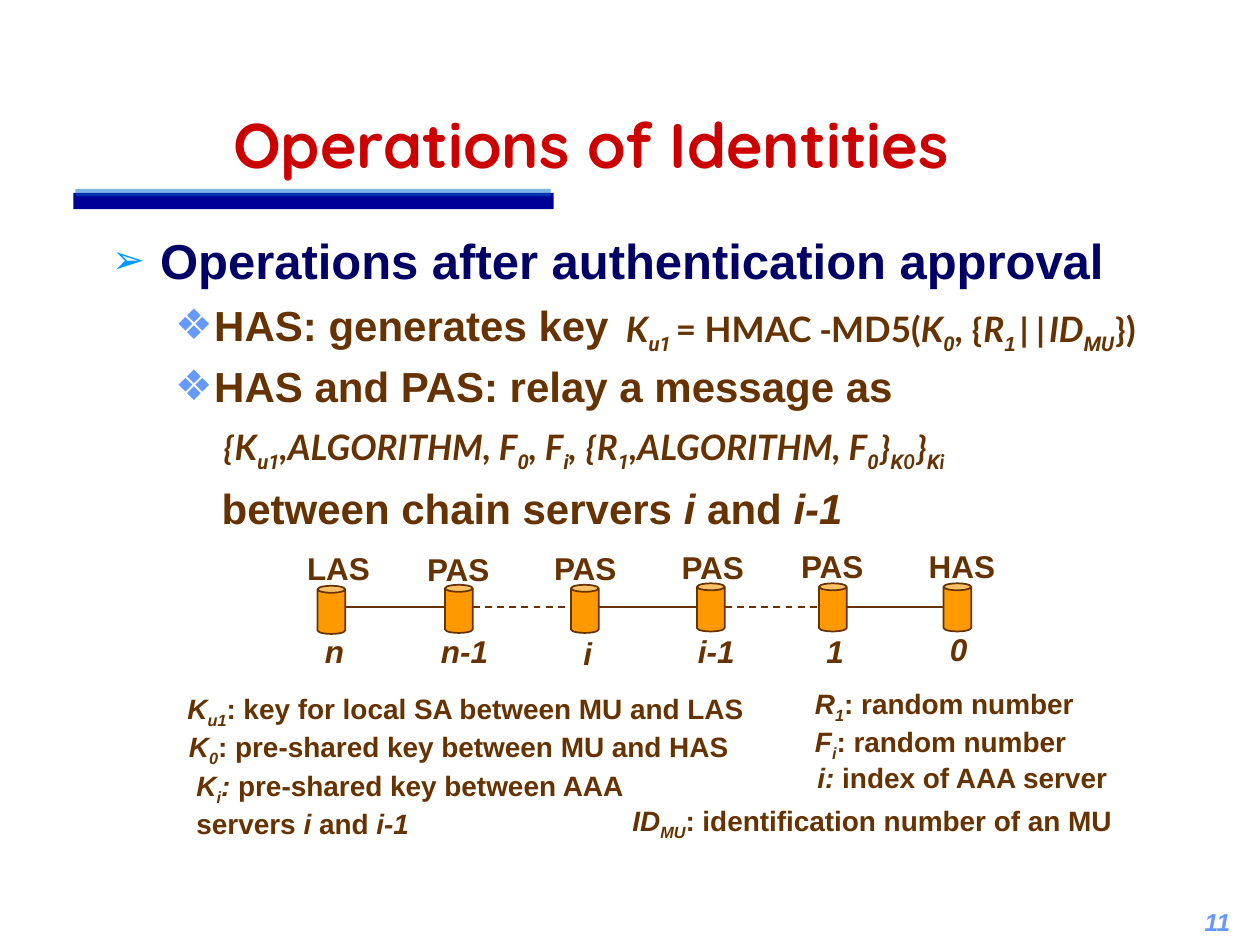
import pptx
import pptx.util
import pptx.dml.color
import pptx.enum.dml
import pptx.enum.shapes
import pptx.enum.text
import pptx.oxml.ns
from lxml import etree

Cm, Pt = pptx.util.Cm, pptx.util.Pt
RGB = pptx.dml.color.RGBColor
qn = pptx.oxml.ns.qn
Shape = pptx.enum.shapes.MSO_SHAPE
Anchor = pptx.enum.text.MSO_ANCHOR
Align = pptx.enum.text.PP_ALIGN
AutoSize = pptx.enum.text.MSO_AUTO_SIZE

RED = RGB(0xCC, 0x00, 0x00)
BROWN = RGB(0x66, 0x33, 0x00)
NAVY = RGB(0x00, 0x00, 0x66)
ORANGE = RGB(0xFF, 0x99, 0x00)
BAR_BLUE = RGB(0x00, 0x00, 0x99)
BAR_LIGHT = RGB(0x00, 0x66, 0xCC)
ARROW_BLUE = RGB(0x00, 0x99, 0xFF)
PALE_BLUE = RGB(0x66, 0x99, 0xFF)

# Runs are (text, flags, font): "i" is italic, "_" is subscript, font is Arial if absent
TITLE = [("Operations of Identities", "", "Quicksand")]

# runs, size, colour, left margin, hanging indent, space before, bullet, its colour and size
OUTLINE = [
    ([("Operations after authentication approval",)], 28, NAVY, 0.97, -0.97, 7,
     ("➢", ARROW_BLUE, 80)),
    ([("HAS: generates key",)], 24, BROWN, 2.06, -0.79, 6, ("❖", PALE_BLUE, 100)),
    ([("HAS and PAS: relay a message as",)], 24, BROWN, 2.06, -0.79, 6,
     ("❖", PALE_BLUE, 100)),
    ([("between chain servers ",), ("i", "i"), (" and ",), ("i-1", "i")],
     24, BROWN, 2.21, 0, 41, None),
]

# left, top, width, height, runs
FORMULAS = [
    (12.37, 6.07, 11.48, 1.22, [
        ("K", "i", "Lato"), ("u1 ", "i_", "Roboto"), ("= HMAC ", "", "Lato"),
        ("-", "", "Calibri"), ("MD5(", "", "Lato"), ("K", "i", "Lato"),
        ("0", "i_", "Roboto"), (", ", "", "Lato"), ("{", "", "Calibri"),
        ("R", "i", "Lato"), ("1", "i_"), ("||", "", "Calibri"), ("ID", "i", "Lato"),
        ("MU", "i_", "Roboto"), ("}", "", "Calibri"), (")", "", "Lato")]),
    (4.24, 8.46, 19.2, 1.22, [
        ("{", "i", "Calibri"), ("K", "i", "Lato"), ("u1", "i_", "Roboto"),
        (",ALGORITHM, F", "i", "Lato"), ("0", "i_", "Roboto"), (", F", "i", "Lato"),
        ("i", "i_", "Roboto"), (", ", "i", "Lato"), ("{", "i", "Calibri"),
        ("R", "i", "Lato"), ("1", "i_", "Roboto"), (",ALGORITHM, F", "i", "Lato"),
        ("0", "i_", "Roboto"), ("}", "i", "Calibri"), ("K", "i_", "Roboto"),
        ("0", "i_", "Lato"), ("}", "i", "Calibri"), ("K", "i_", "Roboto"),
        ("i", "i_", "Lato")]),
]

# can (left, top), role (text, left, top, width), index (text, left, top, width)
SERVERS = [
    ((6.4, 11.81), ("LAS", 5.94, 10.95, 1.8), ("n", 6.3, 12.62, 0.9)),
    ((8.97, 11.79), ("PAS", 8.36, 10.97, 1.82), ("n-1", 8.64, 12.62, 1.55)),
    ((11.51, 11.79), ("PAS", 10.92, 10.95, 1.82), ("i", 11.51, 12.65, 0.7)),
    ((14.05, 11.76), ("PAS", 13.49, 10.92, 1.82), ("i-1", 13.82, 12.62, 1.35)),
    ((16.51, 11.76), ("PAS", 15.9, 10.9, 1.82), ("1", 16.41, 12.62, 0.88)),
    ((19.02, 11.76), ("HAS", 18.47, 10.9, 1.87), ("0", 18.9, 12.57, 0.88)),
]
CAN_WIDTH, CAN_HEIGHT, CHAIN_Y = 0.56, 0.97, 12.24

# left, top, width, height, runs
LEGEND = [
    (3.53, 13.82, 12.7, 1.04, [("K", "i"), ("u1", "i_"),
                               (": key for local SA between MU and LAS",)]),
    (16.18, 13.72, 5.87, 1.04, [("R", "i"), ("1", "i_"), (": random number",)]),
    (16.18, 14.48, 5.87, 1.04, [("F", "i"), ("i", "i_"), (": random number",)]),
    (3.56, 14.58, 12.7, 1.04, [("K", "i"), ("0", "i_"),
                               (": pre-shared key between MU and HAS",)]),
    (16.23, 15.21, 6.76, 0.94, [("i:", "i"), (" index of AAA server",)]),
    (3.71, 15.37, 9.68, 1.7, [("K", "i"), ("i", "i_"), (":", "i"),
                              (" pre-shared key between AAA servers ",),
                              ("i", "i"), (" and ",), ("i-1", "i")]),
    (12.5, 16.08, 10.49, 1.04, [("ID", "i"), ("MU", "i_"),
                                (": identification number of an MU",)]),
]


def add_runs(paragraph, runs, size, color):
    for text, *style in runs:
        flags = style[0] if style else ""
        run = paragraph.add_run()
        run.text = text
        run.font.name = style[1] if len(style) > 1 else "Arial"
        run.font.size = Pt(size)
        run.font.bold = True
        run.font.italic = "i" in flags
        run.font.color.rgb = color
        if "_" in flags:
            run.font._element.set("baseline", "-25000")


def add_text(slide, box, runs, size, color=BROWN, wrap=True, anchor=Anchor.TOP):
    frame = slide.shapes.add_textbox(*map(Cm, box)).text_frame
    frame.word_wrap = wrap
    if not wrap:
        frame.auto_size = AutoSize.SHAPE_TO_FIT_TEXT
    frame.vertical_anchor = anchor
    add_runs(frame.paragraphs[0], runs, size, color)
    return frame


def add_filled(slide, kind, box, color):
    shape = slide.shapes.add_shape(kind, *map(Cm, box))
    shape.shadow.inherit = False
    shape.fill.solid()
    shape.fill.fore_color.rgb = color
    shape.line.fill.background()
    return shape


def set_bullet(paragraph, left, indent, bullet):
    props = paragraph._p.get_or_add_pPr()
    props.set("marL", str(Cm(left)))
    props.set("indent", str(Cm(indent)))
    if bullet:
        char, color, percent = bullet
        bullet_color = etree.SubElement(props, qn("a:buClr"))
        etree.SubElement(bullet_color, qn("a:srgbClr"), val=str(color))
        etree.SubElement(props, qn("a:buSzPct"), val=str(percent * 1000))
        etree.SubElement(props, qn("a:buFont"), typeface="Arial")
        etree.SubElement(props, qn("a:buChar"), char=char)


def add_link(slide, start, end, dashed):
    link = slide.shapes.add_connector(
        pptx.enum.shapes.MSO_CONNECTOR.STRAIGHT,
        Cm(start), Cm(CHAIN_Y), Cm(end), Cm(CHAIN_Y))
    link.line.color.rgb = BROWN
    link.line.width = Pt(1)
    if dashed:
        link.line.dash_style = pptx.enum.dml.MSO_LINE.DASH
    etree.SubElement(link._element.spPr, qn("a:effectLst"))


def main():
    deck = pptx.Presentation()
    deck.slide_width, deck.slide_height = Cm(25.4), Cm(19.05)
    slide = deck.slides.add_slide(deck.slide_layouts[6])

    # Title with its two-tone bar
    add_filled(slide, Shape.RECTANGLE, (1.48, 3.89, 9.68, 0.33), BAR_BLUE)
    gloss = add_filled(slide, Shape.RECTANGLE, (1.52, 3.81, 9.58, 0.15), BAR_LIGHT)
    gloss_color = gloss._element.spPr.find(".//" + qn("a:srgbClr"))
    etree.SubElement(gloss_color, qn("a:alpha"), val="50000")
    add_text(slide, (4.45, 1.04, 19.25, 2.74), TITLE, 36, RED, anchor=Anchor.BOTTOM)

    # Outline
    outline = add_text(slide, (2.01, 4.52, 21.59, 11.86), [], 24)
    for n, (runs, size, color, left, indent, before, bullet) in enumerate(OUTLINE):
        paragraph = outline.add_paragraph() if n else outline.paragraphs[0]
        paragraph.space_before = Pt(before)
        set_bullet(paragraph, left, indent, bullet)
        add_runs(paragraph, runs, size, color)

    for *box, runs in FORMULAS:
        add_text(slide, box, runs, 20)

    # Chain of servers, every second link dashed
    for (left, top), role, index in SERVERS:
        can = add_filled(slide, Shape.CAN, (left, top, CAN_WIDTH, CAN_HEIGHT), ORANGE)
        can.line.color.rgb = BROWN
        can.line.width = Pt(1)
        for (text, x, y, width), flags in ((role, ""), (index, "i")):
            add_text(slide, (x, y, width, 1.02), [(text, flags)], 18, wrap=False)
    can_lefts = [can[0] for can, _, _ in SERVERS]
    for n, (left, following) in enumerate(zip(can_lefts, can_lefts[1:])):
        add_link(slide, left + CAN_WIDTH, following, dashed=n % 2 == 1)

    # Legend and page number
    for *box, runs in LEGEND:
        add_text(slide, box, runs, 16)
    page = add_text(slide, (23.7, 18.11, 1.7, 0.94), [("11", "i")], 14, PALE_BLUE,
                    anchor=Anchor.MIDDLE)
    page.margin_right = Cm(0.6)
    page.paragraphs[0].alignment = Align.RIGHT

    deck.save("out.pptx")


if __name__ == "__main__":
    main()
